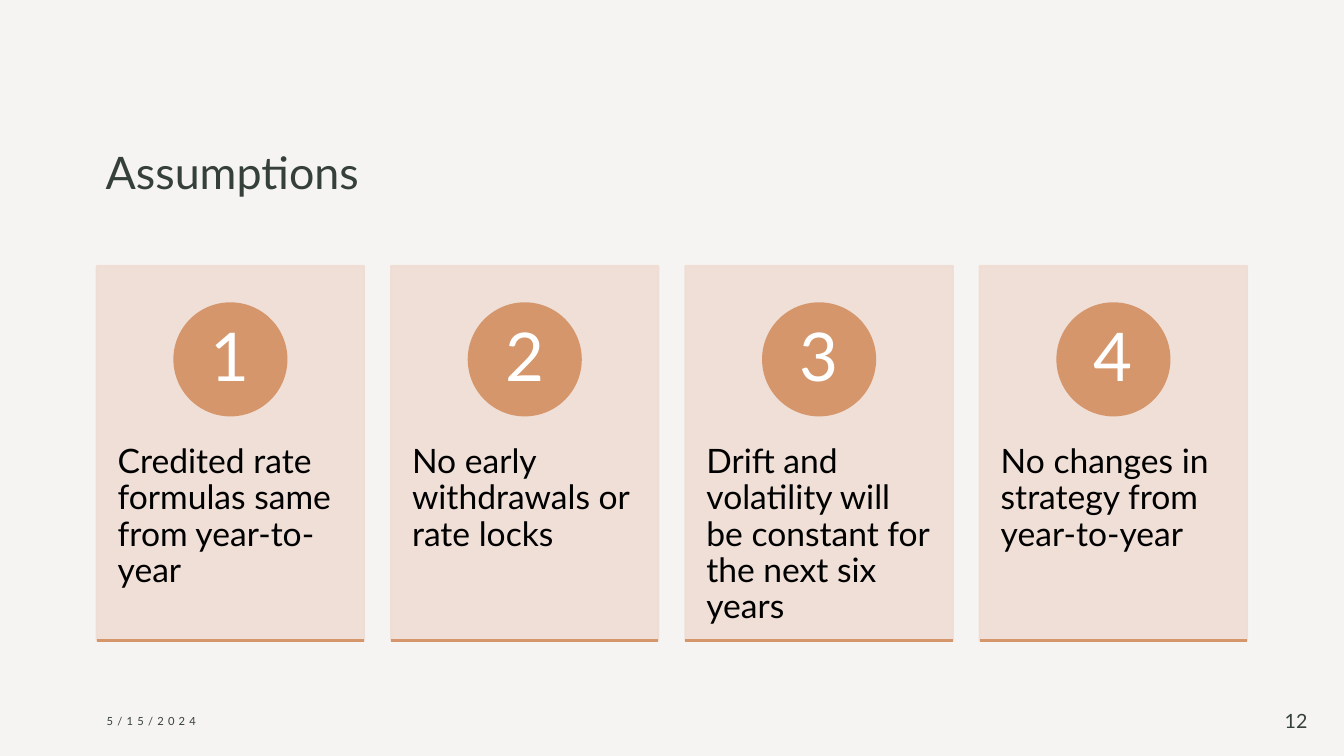
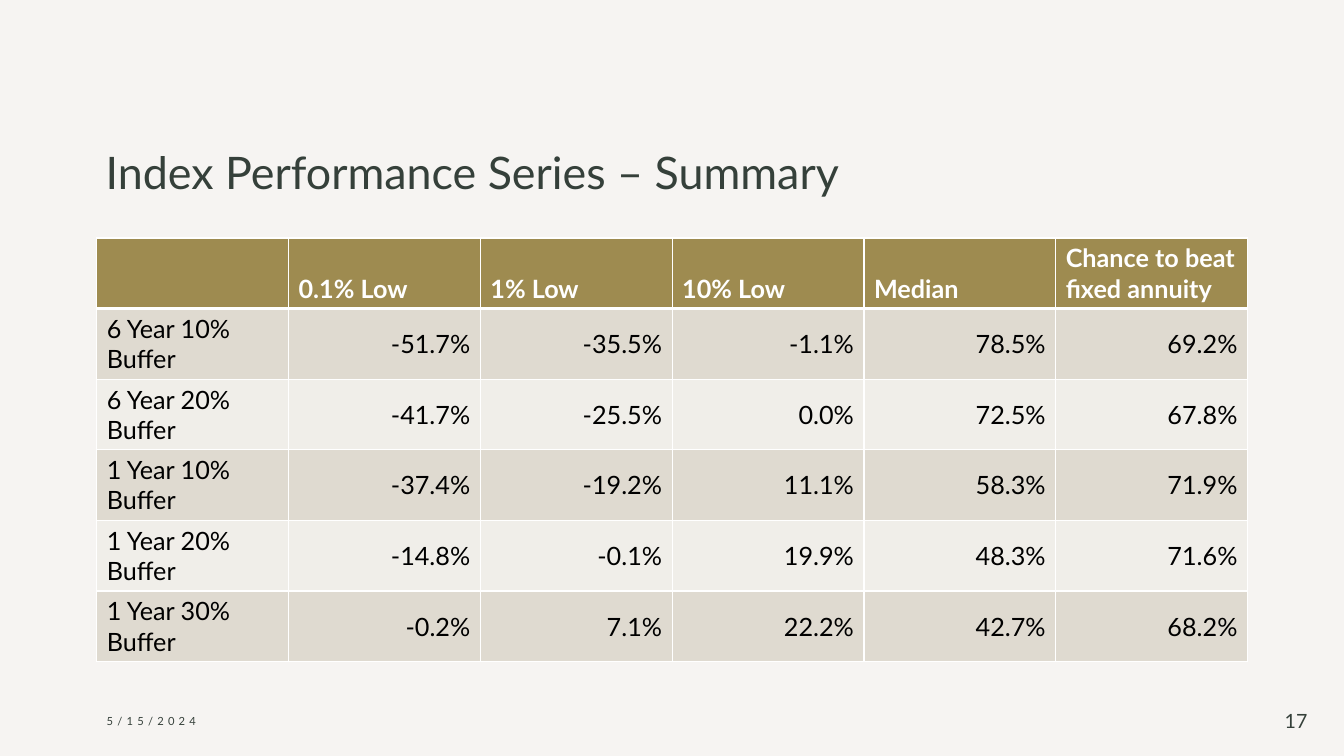
"""Builds the assumptions cards and the index performance summary table."""
from lxml.etree import SubElement
from pptx import Presentation
from pptx.dml.color import RGBColor
from pptx.enum.shapes import MSO_CONNECTOR as CONNECTOR, MSO_SHAPE as SHAPE
from pptx.enum.text import MSO_ANCHOR as ANCHOR, PP_ALIGN as ALIGN
from pptx.oxml.ns import qn
from pptx.util import Pt

COLORS = {
    "background": "F6F4F2",
    "heading": "35403A",
    "card": "EFDDD4",
    "accent": "D5966B",
    "text": "000000",
    "white": "FFFFFF",
    "header": "9E8B50",
    "odd_row": "DFDAD0",
    "even_row": "F0EEE9",
}
COLORS_RGB = {part: RGBColor.from_string(value) for part, value in COLORS.items()}

SLIDES = [("Assumptions", "12"), ("Index Performance Series – Summary", "17")]
DATE = "5/15/2024"
ASSUMPTIONS = [
    "Credited rate formulas same from year-to-year",
    "No early withdrawals or rate locks",
    "Drift and volatility will be constant for the next six years",
    "No changes in strategy from year-to-year",
]
SUMMARY = [
    ["", "0.1% Low", "1% Low", "10% Low", "Median", "Chance to beat fixed annuity"],
    ["6 Year 10% Buffer", "-51.7%", "-35.5%", "-1.1%", "78.5%", "69.2%"],
    ["6 Year 20% Buffer", "-41.7%", "-25.5%", "0.0%", "72.5%", "67.8%"],
    ["1 Year 10% Buffer", "-37.4%", "-19.2%", "11.1%", "58.3%", "71.9%"],
    ["1 Year 20% Buffer", "-14.8%", "-0.1%", "19.9%", "48.3%", "71.6%"],
    ["1 Year 30% Buffer", "-0.2%", "7.1%", "22.2%", "42.7%", "68.2%"],
]

LEFT = 69.1
CARD_TOP, CARD_WIDTH, CARD_HEIGHT, CARD_PITCH = 190, 191, 267.5, 210.25
CIRCLE_TOP, CIRCLE_SIZE = 216.7, 80
BODY_TOP, BODY_HEIGHT = 291.6, 160.6
TABLE_TOP, COLUMN_WIDTH, ROW_HEIGHT = 170, 137, 50.4


def write(frame, text, size, color, align=ALIGN.LEFT, bold=False, spacing=None, **frame_format):
    for attribute, value in {"word_wrap": True, **frame_format}.items():
        setattr(frame, attribute, value)
    paragraph = frame.paragraphs[0]
    paragraph.alignment = align
    paragraph.line_spacing = spacing
    run = paragraph.add_run()
    run.text = text
    for attribute, value in {"name": "Lato", "size": Pt(size), "bold": bold}.items():
        setattr(run.font, attribute, value)
    run.font.color.rgb = COLORS_RGB[color]
    return run


def add_filled(slide, preset, box, color):
    shape = slide.shapes.add_shape(preset, *map(Pt, box))
    shape.shadow.inherit = False
    shape.fill.solid()
    shape.fill.fore_color.rgb = shape.line.color.rgb = COLORS_RGB[color]
    shape.line.width = Pt(1.5)
    return shape


prs = Presentation()
prs.slide_width, prs.slide_height = Pt(960), Pt(540)
master_fill = prs.slide_master.background.fill
master_fill.solid()
master_fill.fore_color.rgb = COLORS_RGB["background"]

for title, number in SLIDES:
    slide = prs.slides.add_slide(prs.slide_layouts[6])
    shared_texts = [
        ((68.4, 46, 823, 99.4), title, 32, ALIGN.LEFT, ANCHOR.BOTTOM),
        ((LEFT, 500.4, 216, 28.8), DATE, 8, ALIGN.LEFT, ANCHOR.MIDDLE),
        ((900, 500.4, 41, 28.8), number, 14, ALIGN.RIGHT, ANCHOR.MIDDLE),
    ]
    for box, text, size, align, anchor in shared_texts:
        frame = slide.shapes.add_textbox(*map(Pt, box)).text_frame
        run = write(frame, text, size, "heading", align, vertical_anchor=anchor)
        if text == DATE:
            run.font._element.set("spc", "300")

assumptions_slide, summary_slide = prs.slides

for index, assumption in enumerate(ASSUMPTIONS):
    left = LEFT + index * CARD_PITCH
    card = add_filled(assumptions_slide, SHAPE.RECTANGLE,
                      (left, CARD_TOP, CARD_WIDTH, CARD_HEIGHT), "card")
    for color in card._element.spPr.iter(qn("a:srgbClr")):
        SubElement(color, qn("a:alpha"), val="90000")

    body = assumptions_slide.shapes.add_textbox(
        *map(Pt, (left, BODY_TOP, CARD_WIDTH, BODY_HEIGHT)))
    write(body.text_frame, assumption, 24, "text", spacing=0.9,
          margin_left=Pt(15), margin_right=Pt(15), margin_top=Pt(26), margin_bottom=Pt(26))

    circle_left = left + (CARD_WIDTH - CIRCLE_SIZE) / 2
    circle = add_filled(assumptions_slide, SHAPE.OVAL,
                        (circle_left, CIRCLE_TOP, CIRCLE_SIZE, CIRCLE_SIZE), "accent")
    write(circle.text_frame, str(index + 1), 48, "white", ALIGN.CENTER, spacing=0.9,
          vertical_anchor=ANCHOR.MIDDLE, margin_top=0, margin_bottom=0)

    bottom = CARD_TOP + CARD_HEIGHT
    underline = assumptions_slide.shapes.add_connector(
        CONNECTOR.STRAIGHT, *map(Pt, (left, bottom, left + CARD_WIDTH, bottom)))
    underline.line.color.rgb = COLORS_RGB["accent"]
    underline.line.width = Pt(1.5)
    SubElement(underline._element.spPr, qn("a:effectLst"))

row_count, column_count = len(SUMMARY), len(SUMMARY[0])
summary = summary_slide.shapes.add_table(
    row_count, column_count, Pt(LEFT), Pt(TABLE_TOP),
    Pt(column_count * COLUMN_WIDTH), Pt(row_count * ROW_HEIGHT)).table

for row, values in enumerate(SUMMARY):
    is_header = row == 0
    row_fill = "header" if is_header else "odd_row" if row % 2 else "even_row"
    for column, value in enumerate(values):
        cell = summary.cell(row, column)
        is_figure = not is_header and column > 0
        write(cell.text_frame, value, 18, "white" if is_header else "text",
              ALIGN.RIGHT if is_figure else ALIGN.LEFT, bold=is_header)
        cell.vertical_anchor = (ANCHOR.BOTTOM if is_header
                                else ANCHOR.MIDDLE if is_figure else ANCHOR.TOP)
        properties = cell._tc.get_or_add_tcPr()
        widths = {"L": 1, "R": 1, "T": 3 if row == 1 else 1, "B": 3 if is_header else 1}
        for side, width in widths.items():
            border = SubElement(properties, qn(f"a:ln{side}"), w=str(Pt(width)))
            border_fill = SubElement(border, qn("a:solidFill"))
            SubElement(border_fill, qn("a:srgbClr"), val=COLORS["white"])
        cell.fill.solid()
        cell.fill.fore_color.rgb = COLORS_RGB[row_fill]

prs.save("out.pptx")
